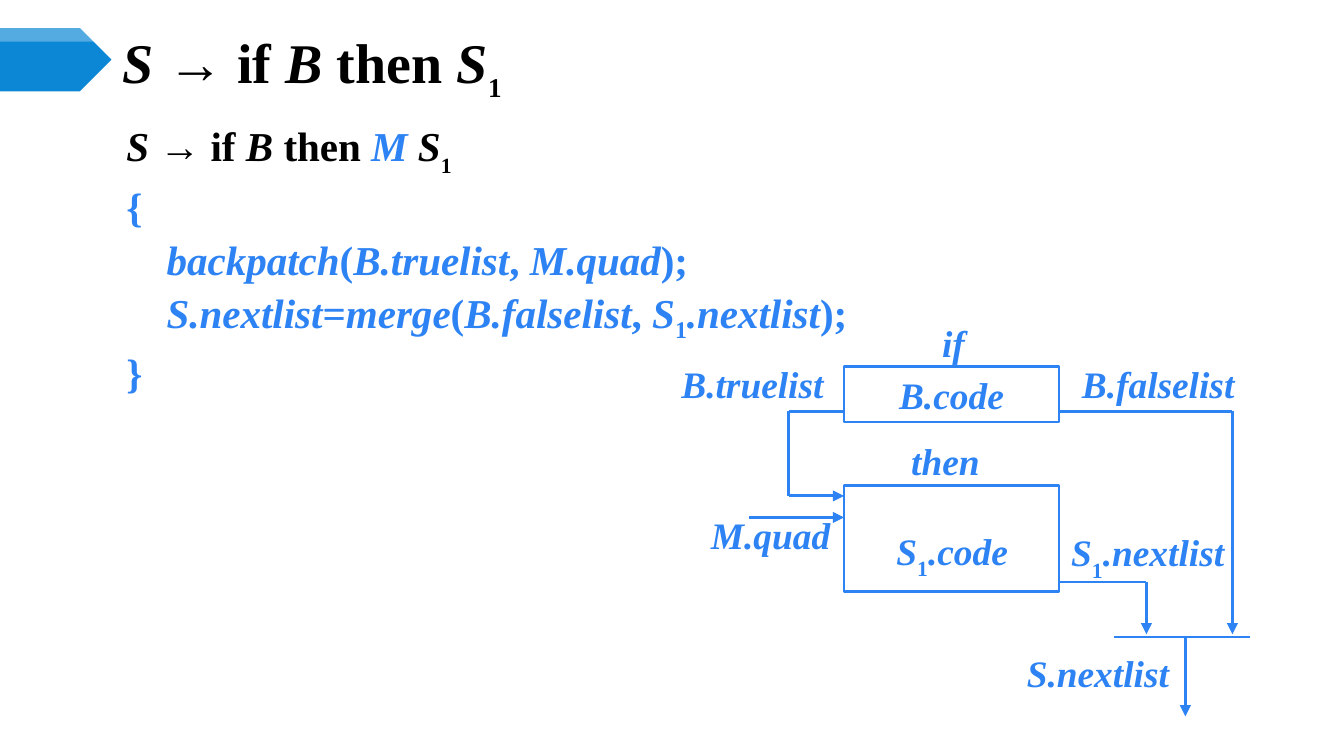
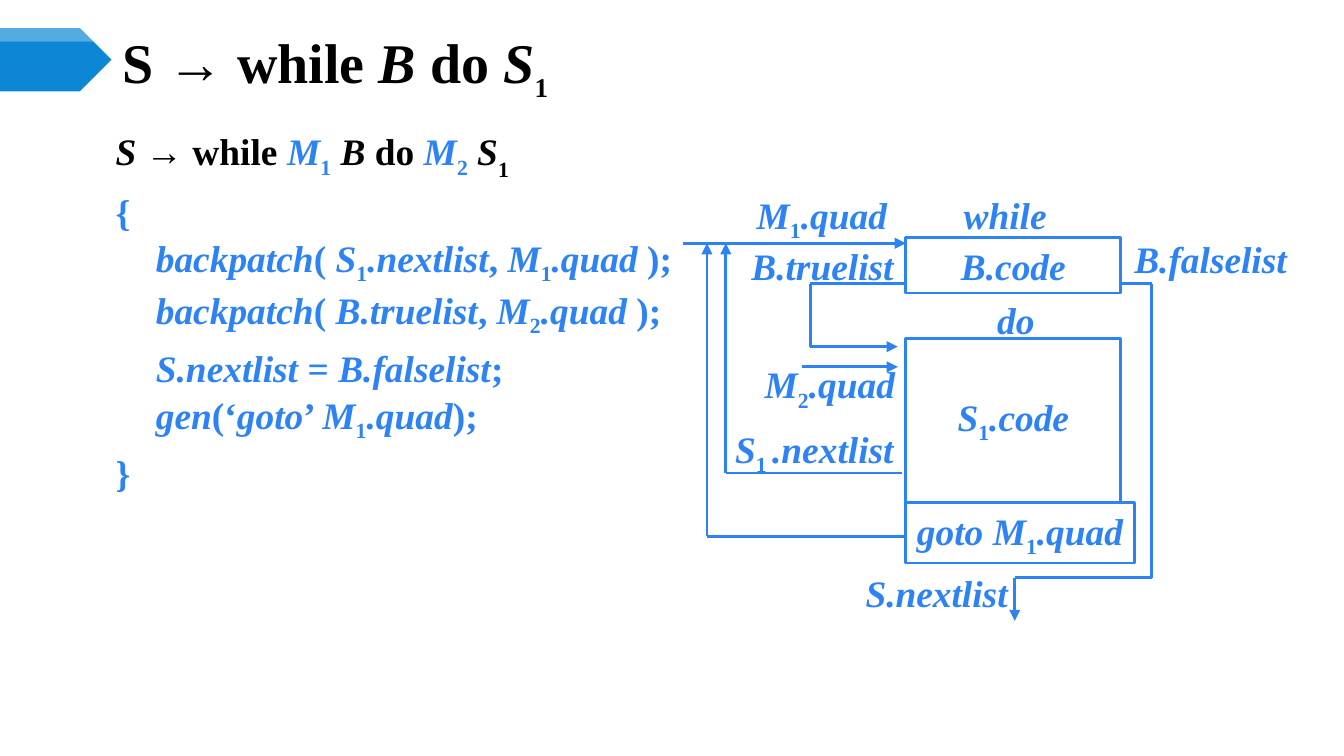
from dataclasses import dataclass
from itertools import groupby, pairwise
from typing import Iterator, NamedTuple

from lxml import etree
from pptx import Presentation
from pptx.dml.color import RGBColor
from pptx.enum import shapes, text
from pptx.oxml.ns import qn
from pptx.util import Emu, Inches, Pt

ALIGN = text.PP_ALIGN


# Theme and grid
@dataclass(frozen=True)
class Theme:
    ink: RGBColor = RGBColor(0, 0, 0)
    accent: RGBColor = RGBColor(0x2D, 0x83, 0xF4)
    band: RGBColor = RGBColor(0x0B, 0x87, 0xD6)
    paper: RGBColor = RGBColor(255, 255, 255)
    serif: str = "Times New Roman"
    arrow_font: str = "Arial"
    title_size: int = 30
    label_size: int = 20
    line_width: float = 1.5
    band_gloss: int = 30


THEME = Theme()
WIDTH, HEIGHT = Inches(10), Inches(5.625)
COLUMNS, ROWS = 100, 56.25
LOW_SIZES = {30: 25, 22: 20, 20: 20}  # base size to size of a low subscript


def col(n: float) -> Emu:
    return Emu(round(WIDTH * n / COLUMNS))


def row(n: float) -> Emu:
    return Emu(round(HEIGHT * n / ROWS))


class Area(NamedTuple):
    left: float
    top: float
    width: float
    height: float

    def emu(self) -> tuple[Emu, Emu, Emu, Emu]:
        return col(self.left), row(self.top), col(self.width), row(self.height)


# Content types
class Label(NamedTuple):
    markup: str
    area: Area
    align: ALIGN = ALIGN.LEFT
    line_points: float | None = None


class Box(NamedTuple):
    area: Area
    markup: str = ""
    anchor: text.MSO_ANCHOR = text.MSO_ANCHOR.TOP
    bottom_inset: float = 0.4


class Wire(NamedTuple):
    points: list[tuple[float, float]]
    arrow: bool = True


@dataclass
class Rule:
    title: str
    body: list[str]
    body_area: Area
    body_size: int
    wires: list[Wire]
    boxes: list[Box]
    labels: list[Label]
    body_line_points: float | None = None
    body_gap: float = 0


# Markup: * toggles italic, ~ toggles accent, _ and ! lower the next character
class Style(NamedTuple):
    italic: bool
    accent: bool
    baseline: int
    arrow: bool


SUBSCRIPTS = {"_": -25, "!": -30}


def styled_chars(markup: str, italic: bool, accent: bool) -> Iterator[tuple[Style, str]]:
    baseline = 0
    for char in markup:
        if char == "*":
            italic = not italic
        elif char == "~":
            accent = not accent
        elif char in SUBSCRIPTS:
            baseline = SUBSCRIPTS[char]
        else:
            yield Style(italic and not baseline, accent, baseline, char == "→"), char
            baseline = 0


def write(paragraph, markup: str, size: int, italic: bool = False, accent: bool = False) -> None:
    for style, chars in groupby(styled_chars(markup, italic, accent), lambda pair: pair[0]):
        run = paragraph.add_run()
        run.text = "".join(char for _, char in chars)
        font = run.font
        low = style.baseline == SUBSCRIPTS["!"]
        font.size = Pt(LOW_SIZES[size] if low else size)
        font.bold, font.italic = True, style.italic
        font.name = THEME.arrow_font if style.arrow else THEME.serif
        font.color.rgb = THEME.accent if style.accent else THEME.ink
        if style.baseline:
            run._r.get_or_add_rPr().set("baseline", str(style.baseline * 1000))


def prepare(frame, anchor=text.MSO_ANCHOR.TOP, bottom_inset: float = 0.4) -> None:
    frame.word_wrap = True
    frame.auto_size = text.MSO_AUTO_SIZE.NONE
    frame.vertical_anchor = anchor
    frame.margin_left = frame.margin_right = col(0.8)
    frame.margin_top, frame.margin_bottom = row(0.4), row(bottom_inset)


# Drawing
def draw_band(slide) -> None:
    for height, color, opacity in ((4.7, THEME.band, 100), (1, THEME.paper, THEME.band_gloss)):
        band = slide.shapes.add_shape(shapes.MSO_SHAPE.PENTAGON, *Area(0, 2.1, 8.3, height).emu())
        band.shadow.inherit = False
        band.fill.solid()
        band.fill.fore_color.rgb = color
        band.line.fill.background()
        if opacity < 100:
            tint = band._element.spPr.find(".//" + qn("a:srgbClr"))
            etree.SubElement(tint, qn("a:alpha")).set("val", str(opacity * 1000))


def draw_title(slide, markup: str) -> None:
    title = slide.shapes.title
    title.left, title.top, title.width, title.height = Area(8.3, 2.9, 86.7, 3.9).emu()
    prepare(title.text_frame, text.MSO_ANCHOR.MIDDLE)
    paragraph = title.text_frame.paragraphs[0]
    paragraph.alignment = ALIGN.LEFT
    write(paragraph, markup, THEME.title_size)


def draw_body(slide, rule: Rule) -> None:
    frame = slide.shapes.add_textbox(*rule.body_area.emu()).text_frame
    prepare(frame)
    for index, line in enumerate(rule.body):
        paragraph = frame.add_paragraph() if index else frame.paragraphs[0]
        paragraph.alignment = ALIGN.JUSTIFY
        if rule.body_line_points:
            paragraph.line_spacing = Pt(rule.body_line_points)
        if index and rule.body_gap:
            paragraph.space_before = Pt(rule.body_gap)
        if line not in ("{", "}") and index:
            paragraph._p.get_or_add_pPr().set("marL", str(col(3)))
        write(paragraph, line, rule.body_size, accent=index > 0)


def draw_wire(slide, wire: Wire) -> None:
    legs = list(pairwise(wire.points))
    for index, ((x1, y1), (x2, y2)) in enumerate(legs, start=1):
        leg = slide.shapes.add_connector(
            shapes.MSO_CONNECTOR.STRAIGHT, col(x1), row(y1), col(x2), row(y2))
        leg.line.color.rgb = THEME.accent
        leg.line.width = Pt(THEME.line_width)
        properties = leg._element.spPr
        if wire.arrow and index == len(legs):
            etree.SubElement(properties.find(qn("a:ln")), qn("a:tailEnd")).set("type", "triangle")
        etree.SubElement(properties, qn("a:effectLst"))


def draw_box(slide, box: Box) -> None:
    block = slide.shapes.add_shape(shapes.MSO_SHAPE.RECTANGLE, *box.area.emu())
    block.shadow.inherit = False
    block.fill.solid()
    block.fill.fore_color.rgb = THEME.paper
    block.line.color.rgb = THEME.accent
    block.line.width = Pt(THEME.line_width)
    if box.markup:
        prepare(block.text_frame, box.anchor, box.bottom_inset)
        paragraph = block.text_frame.paragraphs[0]
        paragraph.alignment = ALIGN.CENTER
        write(paragraph, box.markup, THEME.label_size, italic=True, accent=True)


def draw_label(slide, label: Label) -> None:
    frame = slide.shapes.add_textbox(*label.area.emu()).text_frame
    prepare(frame)
    paragraph = frame.paragraphs[0]
    paragraph.alignment = label.align
    if label.line_points:
        paragraph.line_spacing = Pt(label.line_points)
    write(paragraph, label.markup, THEME.label_size, italic=True, accent=True)


def draw_rule(deck, rule: Rule) -> None:
    slide = deck.slides.add_slide(deck.slide_layouts[5])
    draw_band(slide)
    draw_title(slide, rule.title)
    draw_body(slide, rule)
    for wire in rule.wires:
        draw_wire(slide, wire)
    for box in rule.boxes:
        draw_box(slide, box)
    for label in rule.labels:
        draw_label(slide, label)


# Slide content
IF_THEN = Rule(
    title="*S* → if *B* then *S*!1",
    body=[
        "*S* → if *B* then ~*M*~ *S*!1",
        "{",
        "*backpatch*(*B.truelist*, *M.quad*);",
        "*S.nextlist*=*merge*(*B.falselist*, *S*_1*.nextlist*);",
        "}",
    ],
    body_area=Area(8.6, 8.6, 64.8, 35.3),
    body_size=22,
    body_gap=2,
    wires=[
        Wire([(55.7, 38.5), (62.8, 38.5)]),
        Wire([(62.8, 30.6), (58.7, 30.6), (58.7, 36.9), (62.8, 36.9)]),
        Wire([(78.8, 30.6), (91.7, 30.6), (91.7, 47.2)]),
        Wire([(78.8, 43.3), (85.3, 43.3), (85.3, 47.2)]),
        Wire([(82.9, 47.4), (93, 47.4)], arrow=False),
        Wire([(88.2, 47.4), (88.2, 53.3)]),
    ],
    boxes=[
        Box(Area(62.8, 27.3, 16, 4.1), "B.code"),
        Box(Area(62.8, 36.1, 16, 7.9)),
    ],
    labels=[
        Label("if", Area(69.3, 23.4, 4.1, 4.1)),
        Label("B.truelist", Area(49.9, 26.5, 15, 4.1)),
        Label("B.falselist", Area(79.7, 26.5, 16.4, 4.1)),
        Label("then", Area(67, 32.2, 8.9, 4.1)),
        Label("M.quad", Area(52.1, 37.7, 13.4, 4.1)),
        Label("S!1.nextlist", Area(78.9, 39, 14.9, 4.7)),
        Label("S.nextlist", Area(75.6, 48, 15.8, 4.1)),
        Label("S!1.code", Area(65.7, 34.5, 10.3, 9.4), ALIGN.CENTER, 60),
    ],
)

WHILE_DO = Rule(
    title="S → while *B* do *S*!1",
    body=[
        "*S* → while ~*M*_1~ *B* do ~*M*_2~ *S*!1",
        "{",
        "*backpatch*( *S*_1*.nextlist*, *M*_1*.quad* );",
        "*backpatch*( *B.truelist*, *M*_2*.quad* );",
        "*S.nextlist* = *B.falselist*;",
        "*gen*(‘*goto*’ *M*_1*.quad*);",
        "}",
    ],
    body_area=Area(7.8, 9.2, 64.8, 35.3),
    body_size=20,
    body_line_points=28,
    wires=[
        Wire([(50.8, 18.1), (67.4, 18.1)]),
        Wire([(67.4, 21.1), (60.3, 21.1), (60.3, 25.8), (66.8, 25.8)]),
        Wire([(59.7, 27.3), (66.8, 27.3)]),
        Wire([(67.1, 35.2), (54, 35.2), (54, 18.1)]),
        Wire([(67.4, 39.9), (52.6, 39.9), (52.6, 18.1)]),
        Wire([(83.4, 21.1), (85.7, 21.1), (85.7, 43), (75.5, 43), (75.5, 46.2)]),
    ],
    boxes=[
        Box(Area(67.4, 17.7, 16, 4.1), "B.code"),
        Box(Area(67.4, 25.2, 16, 13.4), "S_1.code", text.MSO_ANCHOR.MIDDLE, 1.8),
        Box(Area(67.4, 37.4, 17, 4.5), "goto M_1.quad"),
    ],
    labels=[
        Label("M_1.quad", Area(50, 13.9, 16.8, 4.5), ALIGN.RIGHT),
        Label("while", Area(70.9, 13.9, 8.9, 4.1)),
        Label("B.truelist", Area(53.9, 17.7, 13.4, 4.1), ALIGN.RIGHT),
        Label("B.falselist", Area(83.6, 17.2, 16.4, 4.1)),
        Label("do", Area(73.4, 21.7, 4.7, 4.1)),
        Label("M_2.quad", Area(56, 26.5, 11.4, 4.5), ALIGN.RIGHT),
        Label("S_1_ .nextlist", Area(53.1, 31.3, 14.2, 4.5), ALIGN.RIGHT),
        Label("S.nextlist", Area(63.6, 42, 13.2, 4.1)),
    ],
)


def main() -> None:
    deck = Presentation()
    deck.slide_width, deck.slide_height = WIDTH, HEIGHT
    for rule in (IF_THEN, WHILE_DO):
        draw_rule(deck, rule)
    deck.save("out.pptx")


if __name__ == "__main__":
    main()
